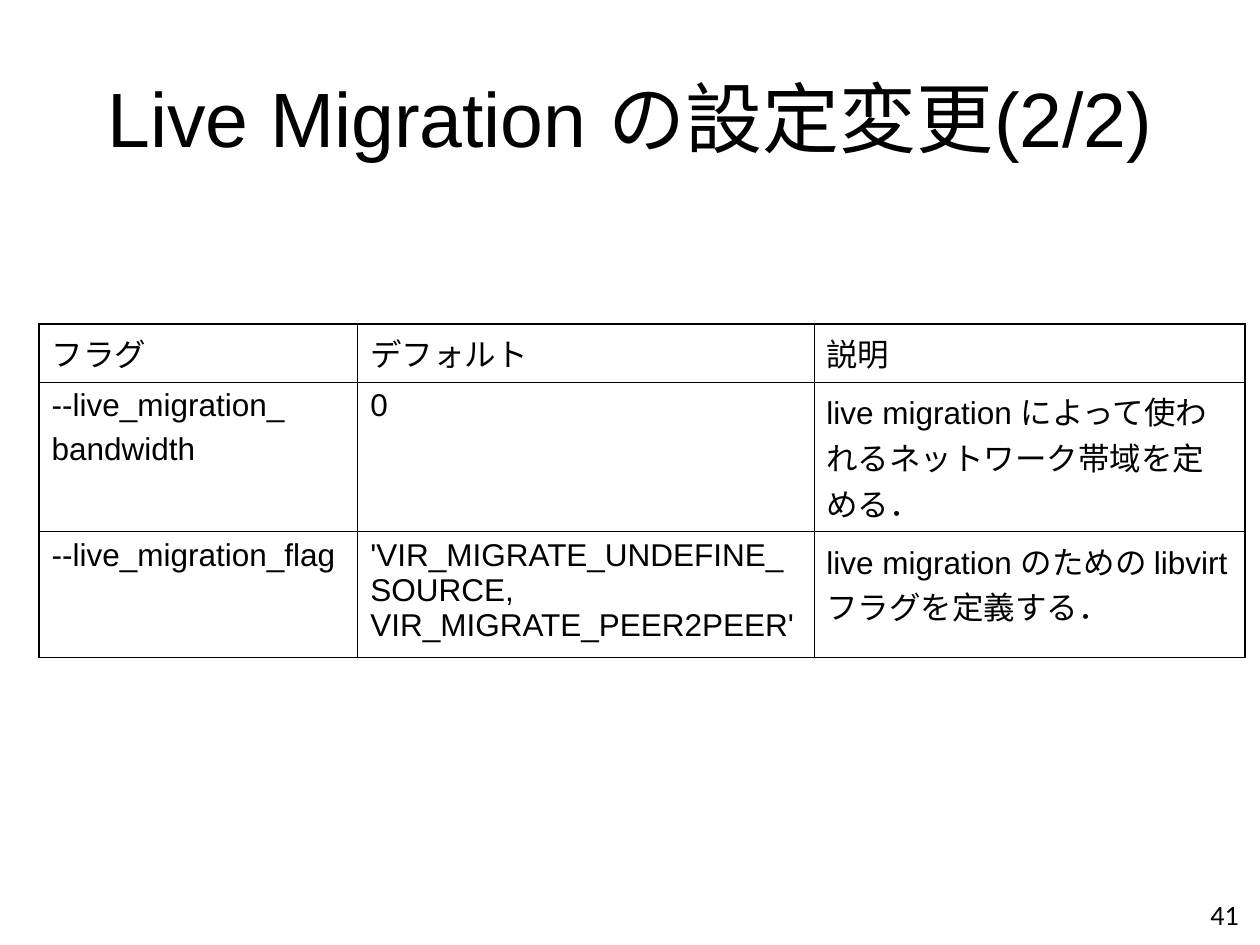
import pptx
import pptx.dml.color
import pptx.enum.text
import pptx.oxml.ns
import pptx.util
from lxml import etree
from pptx.util import Inches, Pt

BLACK = pptx.dml.color.RGBColor(0x00, 0x00, 0x00)
ALIGN = pptx.enum.text.PP_ALIGN
MIDDLE = pptx.enum.text.MSO_ANCHOR.MIDDLE
THICK, THIN = Pt(1.08), Pt(0.45)

TITLE = "Live Migration の設定変更(2/2)"
PAGE_NUMBER = "41"
FLAGS = [
    ("フラグ", "デフォルト", "説明"),
    ("--live_migration_\nbandwidth", "0",
     "live migration によって使われるネットワーク帯域を定める．"),
    ("--live_migration_flag",
     "'VIR_MIGRATE_UNDEFINE_SOURCE, VIR_MIGRATE_PEER2PEER'",
     "live migration のための libvirt フラグを定義する．"),
]
COLUMN_WIDTHS = [2.53, 3.62, 3.42]
ROW_HEIGHTS = [0.4, 1, 1]

TITLE_FORMAT = {"size": Pt(44), "name": "Arial"}
CELL_FORMAT = {"size": Pt(18), "name": "Arial"}
NUMBER_FORMAT = {"size": Pt(16), "name": "Calibri"}


def write(frame, text, font_format, **paragraph_format):
    frame.text = text
    for paragraph in frame.paragraphs:
        for key, value in paragraph_format.items():
            setattr(paragraph, key, value)
        for run in paragraph.runs:
            for key, value in font_format.items():
                setattr(run.font, key, value)
            run.font.color.rgb = BLACK


def set_borders(cell, widths):
    """Draw black cell borders; widths maps L, R, T, B (in that order) to lengths."""
    properties = cell._tc.get_or_add_tcPr()
    qn = pptx.oxml.ns.qn
    for side, width in widths.items():
        line = etree.SubElement(properties, qn(f"a:ln{side}"), w=str(int(width)))
        fill = etree.SubElement(line, qn("a:solidFill"))
        etree.SubElement(fill, qn("a:srgbClr"), val=str(BLACK))


def add_title(slide):
    title = slide.shapes.title
    title.left, title.top, title.width, title.height = map(Inches, (0.5, 0.3, 9, 1.25))
    title.text_frame.vertical_anchor = MIDDLE
    write(title.text_frame, TITLE, TITLE_FORMAT, alignment=ALIGN.CENTER)


def add_flag_table(slide):
    last_row, last_column = len(ROW_HEIGHTS) - 1, len(COLUMN_WIDTHS) - 1
    table = slide.shapes.add_table(
        len(ROW_HEIGHTS), len(COLUMN_WIDTHS), Inches(0.31), Inches(2.57),
        Inches(sum(COLUMN_WIDTHS)), Inches(sum(ROW_HEIGHTS))).table
    table.first_row = table.horz_banding = False
    for column, width in zip(table.columns, COLUMN_WIDTHS):
        column.width = Inches(width)
    for row, height in zip(table.rows, ROW_HEIGHTS):
        row.height = Inches(height)
    for r, texts in enumerate(FLAGS):
        for c, text in enumerate(texts):
            cell = table.cell(r, c)
            write(cell.text_frame, text, CELL_FORMAT, space_before=Pt(4.5))
            outer = {"L": c == 0, "R": c == last_column,
                     "T": r == 0, "B": r == last_row}
            set_borders(cell, {side: THICK if edge else THIN
                               for side, edge in outer.items()})
            cell.fill.background()


def add_page_number(slide):
    number = slide.shapes.add_textbox(*map(Inches, (7.6, 7.06, 2.33, 0.4)))
    number.text_frame.word_wrap = True
    number.text_frame.vertical_anchor = MIDDLE
    write(number.text_frame, PAGE_NUMBER, NUMBER_FORMAT, alignment=ALIGN.RIGHT)


def main():
    deck = pptx.Presentation()
    deck.slide_width, deck.slide_height = Inches(10), Inches(7.5)
    slide = deck.slides.add_slide(deck.slide_layouts[5])
    add_title(slide)
    add_flag_table(slide)
    add_page_number(slide)
    deck.save("out.pptx")


if __name__ == "__main__":
    main()
